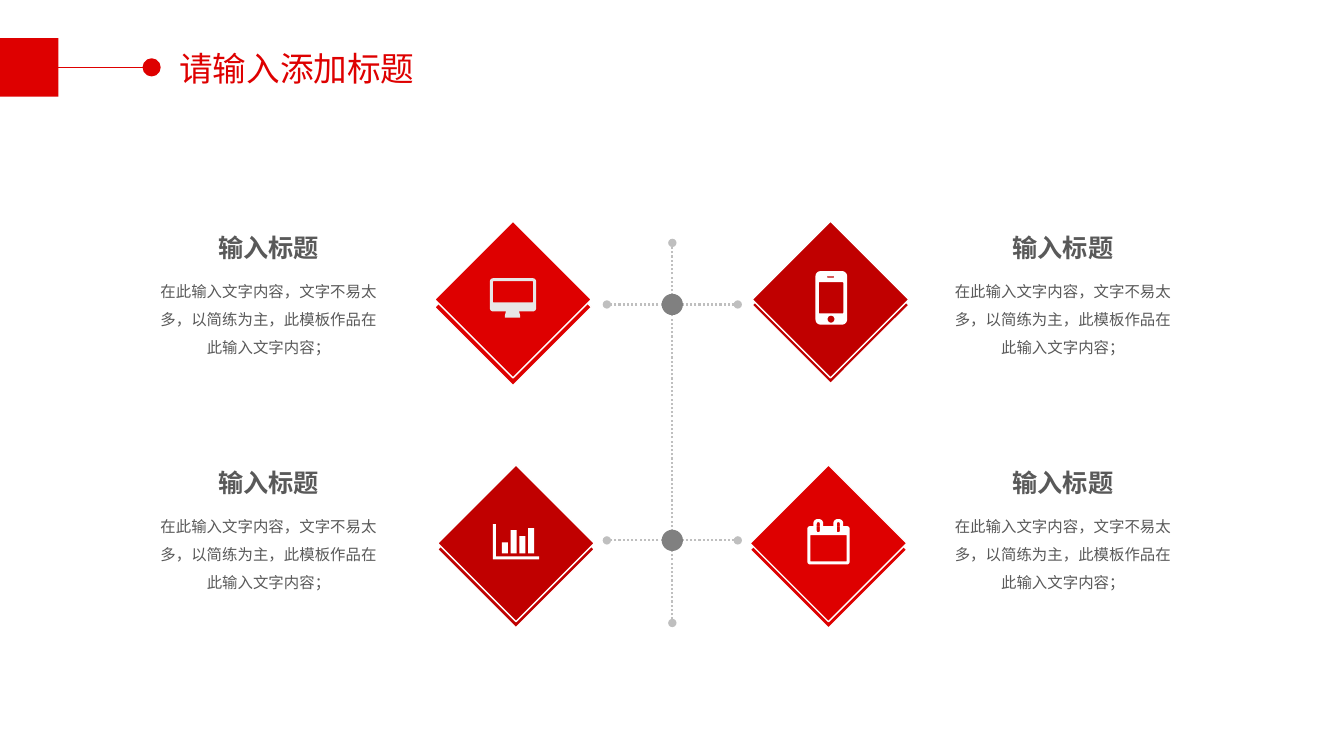
"""Builds a slide with four captioned diamonds around a dotted axis."""
import math
from collections import namedtuple

import pptx
import pptx.dml.color
import pptx.enum.dml
import pptx.enum.shapes
import pptx.enum.text
import pptx.oxml
import pptx.oxml.ns
import pptx.util

Pt = pptx.util.Pt
RED = pptx.dml.color.RGBColor(0xDE, 0x00, 0x00)
DARK_RED = pptx.dml.color.RGBColor(0xC0, 0x00, 0x00)
WHITE = pptx.dml.color.RGBColor(0xFF, 0xFF, 0xFF)
PALE_GRAY = pptx.dml.color.RGBColor(0xE7, 0xE6, 0xE6)
DOT_GRAY = pptx.dml.color.RGBColor(0xBF, 0xBF, 0xBF)
NODE_GRAY = pptx.dml.color.RGBColor(0x80, 0x80, 0x80)
TEXT_GRAY = pptx.dml.color.RGBColor(0x59, 0x59, 0x59)
FONT = "Noto Sans CJK SC"
SHAPES = pptx.enum.shapes.MSO_SHAPE
ALIGN = pptx.enum.text.PP_ALIGN
CAPTION = "输入标题"
BODY = "在此输入文字内容，文字不易太多，以简练为主，此模板作品在此输入文字内容；"

Box = namedtuple("Box", "left top width height")


def add_child(parent, tag, **attributes):
    child = parent.makeelement(pptx.oxml.ns.qn(tag), attributes)
    parent.append(child)


def add_block(page, kind, box, fill, outline=None, rotation=0):
    block = page.shapes.add_shape(kind, *map(Pt, box))
    block.shadow.inherit = False
    block.fill.solid()
    block.fill.fore_color.rgb = fill
    block.rotation = rotation
    if outline is None:
        block.line.fill.background()
    else:
        block.line.color.rgb = outline
        block.line.width = Pt(1)
    return block


def add_line(page, start, end, color, width):
    line = page.shapes.add_connector(
        pptx.enum.shapes.MSO_CONNECTOR.STRAIGHT, *map(Pt, start + end))
    line.line.color.rgb = color
    line.line.width = Pt(width)
    add_child(line._element.spPr, "a:effectLst")
    return line


def add_dotted_line(page, start, end):
    line = add_line(page, start, end, DOT_GRAY, 1.5)
    line.line.dash_style = pptx.enum.dml.MSO_LINE.ROUND_DOT
    outline = line.line._get_or_add_ln()
    add_child(outline, "a:headEnd", type="oval")
    add_child(outline, "a:tailEnd", type="oval")


def add_text(page, box, text, size, color, align, bold=None, spacing=None, wrap=True):
    frame = page.shapes.add_textbox(*map(Pt, box)).text_frame
    frame.word_wrap = wrap
    frame.auto_size = pptx.enum.text.MSO_AUTO_SIZE.SHAPE_TO_FIT_TEXT
    para = frame.paragraphs[0]
    para.alignment = align
    para.line_spacing = spacing
    span = para.add_run()
    span.text = text
    span.font.size = Pt(size)
    span.font.bold = bold
    span.font.color.rgb = color
    span.font.name = FONT
    add_child(span.font._element, "a:ea", typeface=FONT)


def rounded(left, top, width, height, upper=0, lower=None):
    lower = upper if lower is None else lower
    right, bottom = left + width, top + height
    corners = [(right - lower, bottom - lower, lower), (left + lower, bottom - lower, lower),
               (left + upper, top + upper, upper), (right - upper, top + upper, upper)]
    points = []
    for quarter, (x, y, radius) in enumerate(corners):
        for step in range(7 if radius else 1):
            angle = math.radians(90 * quarter + 15 * step)
            points.append((x + radius * math.cos(angle), y + radius * math.sin(angle)))
    return points


def add_icon(page, left, top, contours, fill):
    builder = None
    for contour in contours:
        points = [(Pt(left + x), Pt(top + y)) for x, y in contour]
        if builder is None:
            builder = page.shapes.build_freeform(*points[0])
        else:
            builder.move_to(*points[0])
        builder.add_line_segments(points[1:], close=True)
    icon = builder.convert_to_shape()
    icon.shadow.inherit = False
    icon.fill.solid()
    icon.fill.fore_color.rgb = fill
    icon.line.fill.background()


def monitor():
    stand = [(11.5, 23.8), (20.9, 23.8), (21.6, 26.6), (21.6, 28.1), (10.8, 28.1), (10.8, 26.6)]
    return [rounded(0, 0, 33.1, 23.8, 2.5), rounded(2.2, 2.2, 28.8, 15.1, 0.4), stand]


def phone():
    return [rounded(0, 0, 22.6, 38.2, 3.6), rounded(2.4, 7.9, 17.5, 22.3, 0.5),
            rounded(8.2, 3.7, 5.2, 0.9, 0.4), rounded(8.6, 31.8, 5, 5, 2.5)]


def bar_chart():
    axes = [(0, 0), (2.2, 0), (2.2, 23), (33.1, 23), (33.1, 25.2), (0, 25.2)]
    bars = [rounded(6.4 + 6.24 * place, 20.9 - height, 4.3, height)
            for place, height in enumerate((7.9, 16.6, 12.3, 18))]
    return [axes] + bars


def calendar():
    contours = [rounded(0, 5, 30.2, 27.4, 2), rounded(2.2, 11.5, 25.8, 18.7)]
    for left in (4.3, 18.6):
        contours += [rounded(left, 0, 7, 5, 3, 0), rounded(left + 2.4, 2.2, 2.2, 7.2, 1)]
    return contours


def add_header(page, box):
    side = box.height
    middle = box.top + side / 2
    line = add_line(page, (box.left + side, middle), (106.5, middle), RED, 1)
    add_block(page, SHAPES.OVAL, Box(101.8, middle - 6.5, 13, 13), RED)
    add_text(page, Box(121, 31, 239, 36), "请输入添加标题", 24, RED, ALIGN.JUSTIFY)
    square = add_block(page, SHAPES.RECTANGLE, Box(box.left, box.top, side, side), RED)
    line.begin_connect(square, 3)


def add_axis(page, box):
    center = box.left + box.width / 2
    branches = (217.5, 386)
    for level in branches:
        add_dotted_line(page, (box.left + box.width, level), (box.left, level))
    add_dotted_line(page, (center, box.top + box.height), (center, box.top))
    for level in branches:
        add_block(page, SHAPES.OVAL, Box(center - 7.6, level - 7.6, 15.2, 15.2), NODE_GRAY)


def add_diamond(page, box, color, depth):
    for drop in (depth, 0):
        add_block(page, SHAPES.RECTANGLE, box._replace(top=box.top + drop), color, WHITE, 315)


def add_caption(page, box):
    heading = Box(box.left + 43, box.top, 89, 29)
    body = Box(box.left, box.top + 28.8, box.width, box.height - 28.8)
    add_text(page, body, BODY, 11, TEXT_GRAY, ALIGN.CENTER, spacing=1.5)
    add_text(page, heading, CAPTION, 18, TEXT_GRAY, ALIGN.CENTER, bold=True, wrap=False)


def main():
    deck = pptx.Presentation()
    deck.slide_width, deck.slide_height = Pt(960), Pt(540)
    page = deck.slides.add_slide(deck.slide_layouts[6])
    add_header(page, Box(0, 27.2, 360, 41.8))
    add_axis(page, Box(433.5, 173.5, 93.5, 271.5))
    diamonds = [
        (326.9, 174.3, RED, 5.5, monitor, (349.9, 198.7), PALE_GRAY),
        (553.7, 174.3, DARK_RED, 4, phone, (582.5, 193.7), WHITE),
        (329, 348.5, DARK_RED, 4.3, bar_chart, (352.1, 374.4), WHITE),
        (552.2, 348.5, RED, 4.6, calendar, (576.7, 370.8), WHITE),
    ]
    for left, top, color, depth, icon, corner, fill in diamonds:
        add_diamond(page, Box(left, top, 79.2, 79.2), color, depth)
        add_icon(page, *corner, icon(), fill)
    for left in (104.4, 671.8):
        for top in (162.7, 330.5):
            add_caption(page, Box(left, top, 175, 95.8))
    deck.save("out.pptx")


if __name__ == "__main__":
    main()
